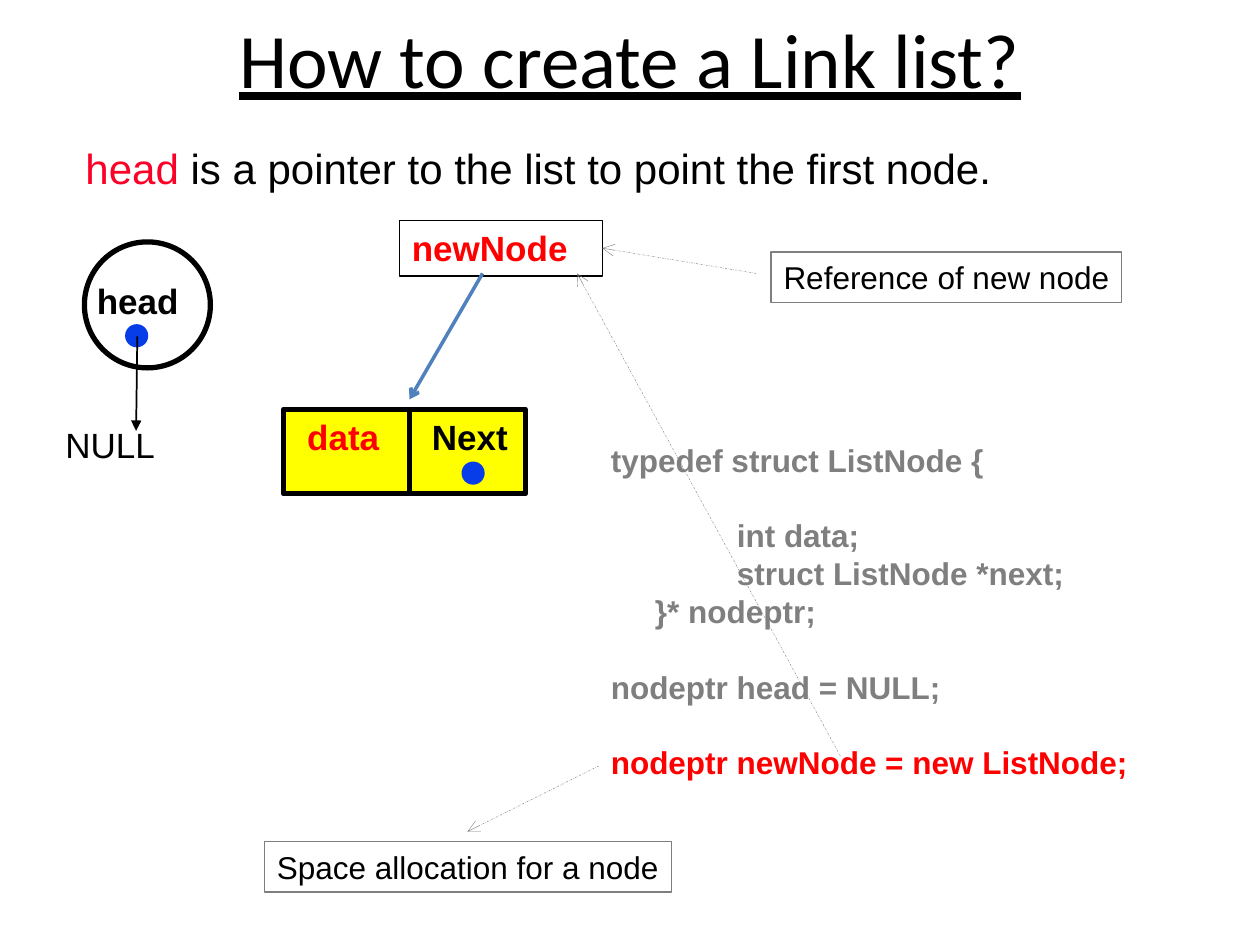
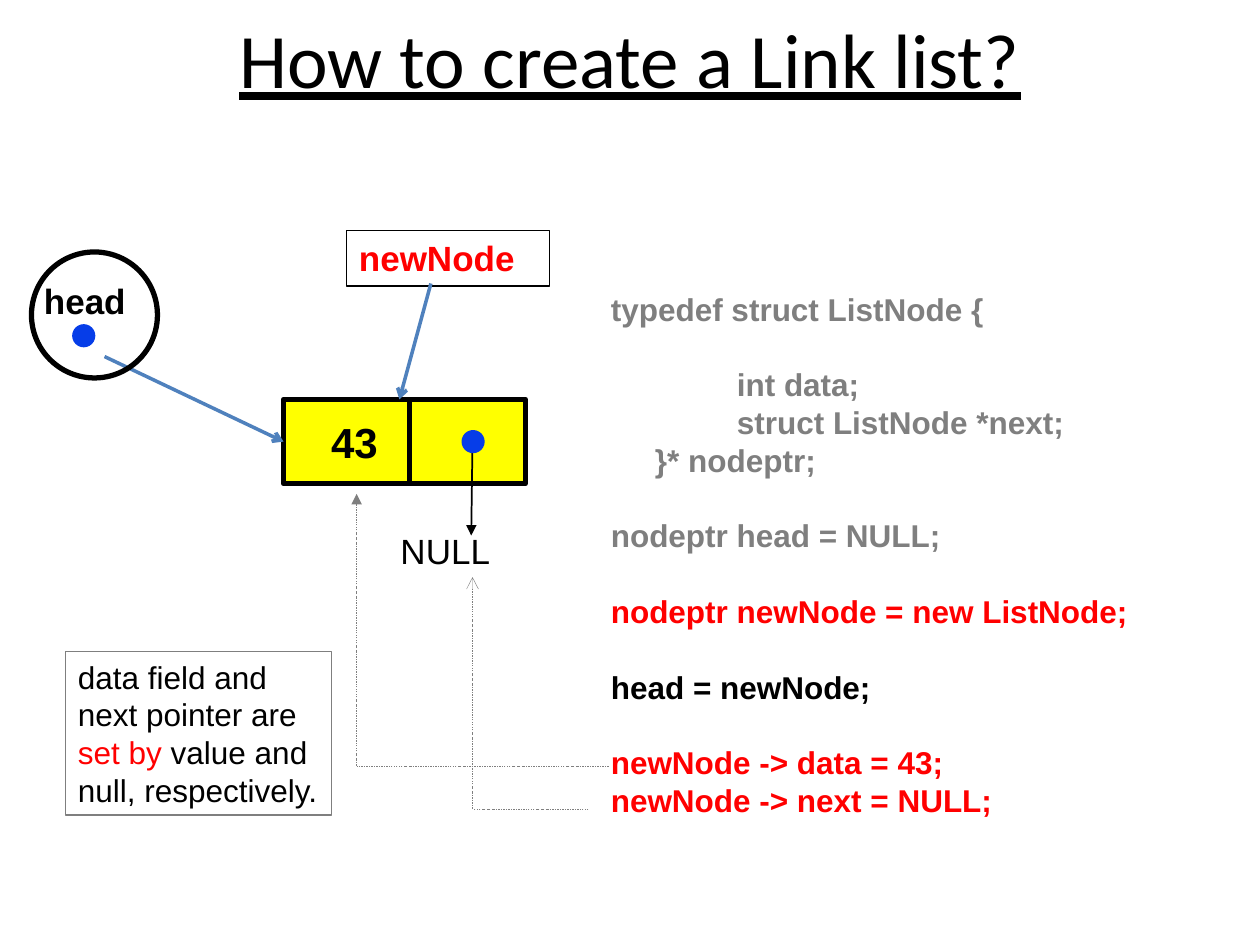
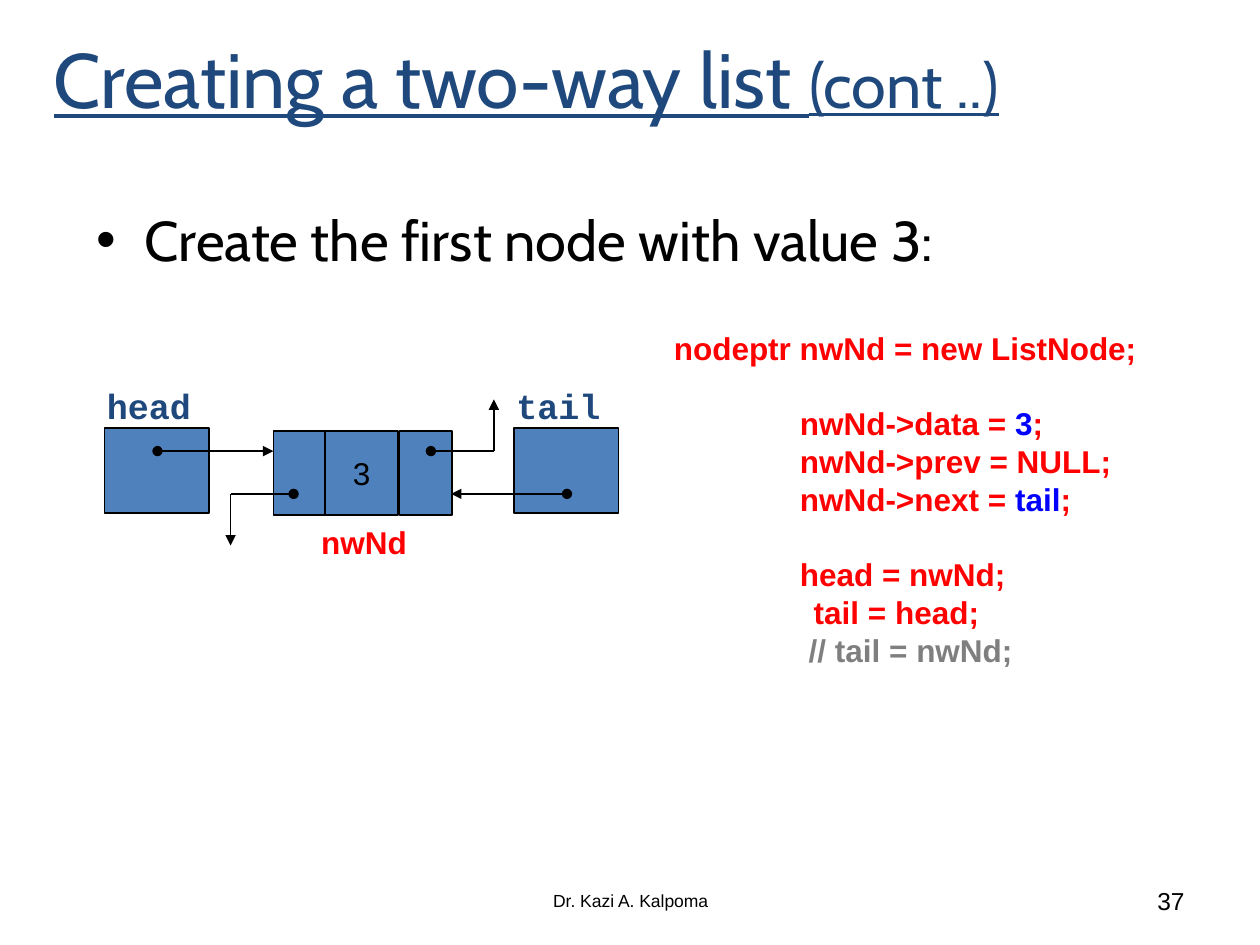
import lxml.etree
import pptx
import pptx.dml.color
import pptx.enum.dml
import pptx.enum.shapes
import pptx.enum.text
import pptx.oxml.ns
import pptx.util

Inches = pptx.util.Inches
Pt = pptx.util.Pt
qn = pptx.oxml.ns.qn
Shape = pptx.enum.shapes.MSO_SHAPE
Align = pptx.enum.text.PP_ALIGN
Anchor = pptx.enum.text.MSO_ANCHOR

COLORS = {
    "black": "000000", "red": "FF0000", "rose": "FC0128", "grey": "7F7F7F",
    "dot": "063DE8", "steel": "4F81BD", "navy": "1F497D", "blue": "0000FF",
    "yellow": "FFFF00",
}
LEAD = 1.2  # line pitch of Arial text, in type sizes


def color(name):
    return pptx.dml.color.RGBColor.from_string(COLORS[name])


def line(text, tint=None, indent=0, gap=False):
    """One paragraph: text or a list of (text, format) runs."""
    runs = [(text, {})] if isinstance(text, str) else text
    if tint:
        runs = [(part, {"color": tint, **look}) for part, look in runs]
    return runs, indent, gap


class Deck:
    def __init__(self):
        self.prs = pptx.Presentation()
        self.prs.slide_width = Inches(10)
        self.prs.slide_height = Inches(7.5)
        self.slide = None

    def page(self):
        self.slide = self.prs.slides.add_slide(self.prs.slide_layouts[6])

    def label(self, shape, lines, wrap=True, align=Align.LEFT,
              anchor=Anchor.TOP, **look):
        """Fill a shape with paragraphs in one base format."""
        base = {"name": "Arial", "size": 18, "color": "black", **look}
        frame = shape.text_frame
        frame.word_wrap = wrap
        frame.vertical_anchor = anchor
        lines = [line(lines)] if isinstance(lines, str) else lines
        for i, (runs, indent, gap) in enumerate(lines):
            para = frame.add_paragraph() if i else frame.paragraphs[0]
            para.alignment = align
            if base["name"] == "Arial":
                para.line_spacing = Pt(LEAD * base["size"])
            if gap:
                para.space_before = Pt(LEAD * base["size"])
            if indent:
                para._p.get_or_add_pPr().set("marL", str(Inches(indent)))
            for text, own in runs:
                run = para.add_run()
                run.text = text
                for key, value in {**base, **own}.items():
                    if key == "color":
                        run.font.color.rgb = color(value)
                    else:
                        value = Pt(value) if key == "size" else value
                        setattr(run.font, key, value)

    def text(self, at, lines, **look):
        box = self.slide.shapes.add_textbox(*map(Inches, at))
        self.label(box, lines, **look)
        return box

    def shape(self, at, fill=None, edge="black", width=1, kind=Shape.RECTANGLE,
              lines=None, **look):
        item = self.slide.shapes.add_shape(kind, *map(Inches, at))
        item.shadow.inherit = False
        if fill:
            item.fill.solid()
            item.fill.fore_color.rgb = color(fill)
        else:
            item.fill.background()
        item.line.color.rgb = color(edge)
        item.line.width = Pt(width)
        if lines:
            self.label(item, lines, **look)
        return item

    def link(self, start, end, tint="black", width=1, dash=False,
             head=None, tail=None, join=None):
        """Straight line; join is the (shape, side) where it ends."""
        item = self.slide.shapes.add_connector(
            pptx.enum.shapes.MSO_CONNECTOR.STRAIGHT,
            *map(Inches, (*start, *end)))
        item.line.color.rgb = color(tint)
        item.line.width = Pt(width)
        if dash:
            item.line.dash_style = pptx.enum.dml.MSO_LINE.DASH_DOT
        props = item._element.spPr
        edge = props.find(qn("a:ln"))
        for tag, tip in (("a:headEnd", head), ("a:tailEnd", tail)):
            if tip:
                lxml.etree.SubElement(edge, qn(tag)).set("type", tip)
        lxml.etree.SubElement(props, qn("a:effectLst"))
        if join:
            item.end_connect(*join)

    def hint(self, start, end, tail="arrow", join=None):
        self.link(start, end, "grey", 0.25, True, tail=tail, join=join)

    def point(self, start, end, join=None):
        self.link(start, end, "steel", 2, tail="arrow", join=join)

    def title(self):
        self.text((0.5, -0.17, 9, 1.25), "How to create a Link list?",
                  name="Calibri", size=44, underline=True,
                  align=Align.CENTER, anchor=Anchor.MIDDLE)

    def dot(self, x, y):
        self.shape((x, y, 0.17, 0.17), "dot", "dot", kind=Shape.OVAL)

    def ring(self, x, y):
        self.shape((x, y, 1, 1), width=3, kind=Shape.OVAL)

    def head(self, x):
        self.text((x, 2.17, 0.85, 0.44), "head", wrap=False, size=20, bold=True)
        self.dot(x + 0.33, 2.58)

    def null(self, x, y):
        self.text((x, y, 0.91, 0.44), "NULL", wrap=False, size=20)

    def name(self, x, y):
        return self.shape((x, y, 1.61, 0.44), width=0.75, lines="newNode",
                          size=20, bold=True, color="red")

    def note(self, at, lines):
        self.shape(at, edge="grey", width=0.75, lines=lines, wrap=False)

    def node(self, y):
        """Two-cell node; returns the data cell."""
        cells = [self.shape((x, y, wide, 0.67), "yellow", width=3)
                 for x, wide in ((2.25, 1), (3.25, 0.92))]
        return cells[0]

    def code(self, at, lines, tint):
        self.text(at, lines, bold=True, color=tint)


CODE = [
    line("typedef struct ListNode {"),
    line("int data;", indent=1, gap=True),
    line("struct ListNode *next;", indent=1),
    line("}* nodeptr;", indent=0.35),
    line("nodeptr head = NULL;", gap=True),
    line("nodeptr newNode = new ListNode;", "red", gap=True),
]


def alloc(deck):
    """Slide 1: allocate the new node."""
    deck.page()
    deck.title()
    deck.head(0.67)
    label = deck.name(3.17, 1.75)
    deck.point((3.83, 2.17), (3.25, 3.17))
    deck.code((4.75, 3.45, 5, 3.1), CODE, "grey")
    deck.text((0.58, 1.08, 7.58, 0.5), [line([
        ("head ", {"color": "rose"}),
        ("is a pointer to the list to point the first node.", {})])], size=24)
    deck.hint((6.67, 6), (4.58, 2.17))
    deck.null(0.42, 3.31)
    deck.link((1.09, 2.67), (1.08, 3.42), tail="triangle")

    # Node with its field names
    deck.node(3.25)
    for x, wide, field, tint in ((2.34, 0.77, "data", "red"),
                                 (3.33, 0.8, "Next", "black")):
        deck.text((x, 3.25, wide, 0.44), field, wrap=False,
                  size=20, bold=True, color=tint)
    deck.dot(3.67, 3.67)

    # Notes
    deck.note((2.1, 6.68, 3.23, 0.4), "Space allocation for a node")
    deck.hint((4.75, 6.08), (3.71, 6.6))
    deck.note((6.12, 2, 2.78, 0.4), "Reference of new node")
    deck.hint((6, 2.17), (4.78, 1.97), join=(label, 3))
    deck.ring(0.67, 1.92)


def assign(deck):
    """Slide 2: set the fields of the node."""
    deck.page()
    deck.title()
    deck.head(0.25)
    cell = deck.node(3.17)
    deck.label(cell, [line("43", indent=0.28)], anchor=Anchor.MIDDLE,
               size=24, bold=True)
    deck.name(2.75, 1.83)
    deck.point((3.42, 2.25), (3.17, 3.17))
    deck.point((0.83, 2.83), (2.25, 3.5), join=(cell, 1))
    deck.code((4.75, 2.25, 5, 4.3), CODE + [
        line("head = newNode;", "black", gap=True),
        line("newNode -> data = 43;", "red", gap=True),
        line("newNode -> next = NULL;", "red"),
    ], "grey")
    deck.link((3.75, 3.5), (3.74, 4.25), tail="triangle")
    deck.null(3.08, 4.15)
    deck.dot(3.67, 3.42)

    # Code lines lead to the fields they set
    for right, x, y, top, tip in ((4.83, 2.83, 6.08, 3.92, "triangle"),
                                  (4.67, 3.75, 6.42, 4.58, "arrow")):
        deck.hint((right, y), (x, y), tail=None)
        deck.hint((x, y), (x, top), tail=tip)
    deck.note((0.52, 5.17, 2.11, 1.3), [
        line("data field and"),
        line("next pointer are"),
        line([("set by ", {"color": "red"}), ("value and", {})]),
        line("null, respectively."),
    ])
    deck.ring(0.25, 2)


def double(deck):
    """Slide 3: first node of a two-way list."""
    deck.page()
    deck.text((0.33, 0, 9.42, 1.23), [line([
        ("Creating a two-way list ", {}), ("(cont ..)", {"size": 36})])],
        name="Cabin", size=44, color="navy", underline=True,
        anchor=Anchor.MIDDLE)
    item = deck.text((0.67, 1.58, 8.5, 0.83),
                     [line("Create the first node with value 3:", indent=0.38)],
                     name="Cabin", size=32)
    props = item.text_frame.paragraphs[0]._p.get_or_add_pPr()
    props.set("indent", str(Inches(-0.38)))
    lxml.etree.SubElement(props, qn("a:buFont")).set("typeface", "Arial")
    lxml.etree.SubElement(props, qn("a:buChar")).set("char", "•")

    # End pointers and the node between them
    for x, end in ((0.83, "head"), (4.08, "tail")):
        deck.shape((x, 3.4, 0.83, 0.67), "steel")
        deck.text((x - 0.08, 3, 1.17, 0.44), end, name="Courier New",
                  size=20, bold=True, color="navy")
    for x, wide, value in ((2.17, 0.42, None), (2.58, 0.58, "3"),
                           (3.17, 0.42, None)):
        deck.shape((x, 3.42, wide, 0.67), "steel", lines=value, wrap=False,
                   align=Align.CENTER, anchor=Anchor.MIDDLE)
    for start, end, head, tail in (
            ((1.25, 3.58), (2.17, 3.58), "oval", "triangle"),
            ((4.5, 3.92), (3.58, 3.92), "oval", "triangle"),
            ((2.33, 3.92), (1.83, 3.92), "oval", None),
            ((1.83, 3.92), (1.83, 4.33), None, "triangle"),
            ((3.42, 3.58), (3.92, 3.58), "oval", None),
            ((3.92, 3.58), (3.92, 3.17), None, "triangle")):
        deck.link(start, end, head=head, tail=tail)
    deck.text((2.45, 4.1, 0.88, 0.4), "nwNd", wrap=False, bold=True, color="red")

    # Footer
    for x, wide, words, size, align in (
            (3.42, 3.17, "Dr. Kazi A. Kalpoma", 10, Align.CENTER),
            (7.17, 2.33, "37", 14, Align.RIGHT)):
        deck.text((x, 6.95, wide, 0.4), words, size=size, align=align,
                  anchor=Anchor.MIDDLE)

    # Code
    blue = {"color": "blue"}
    deck.code((5.25, 2.56, 4.75, 2.8), [
        line("nodeptr nwNd = new ListNode;"),
        line([("nwNd->data = ", {}), ("3", blue), (";", {})], indent=1, gap=True),
        line("nwNd->prev = NULL;", indent=1),
        line([("nwNd->next = ", {}), ("tail", blue), (";", {})], indent=1),
        line("head = nwNd;", indent=1, gap=True),
        line("tail = head;", indent=1.11),
        line("// tail = nwNd;", "grey", indent=1.07),
    ], "red")


def main():
    deck = Deck()
    for build in (alloc, assign, double):
        build(deck)
    deck.prs.save("out.pptx")


if __name__ == "__main__":
    main()
